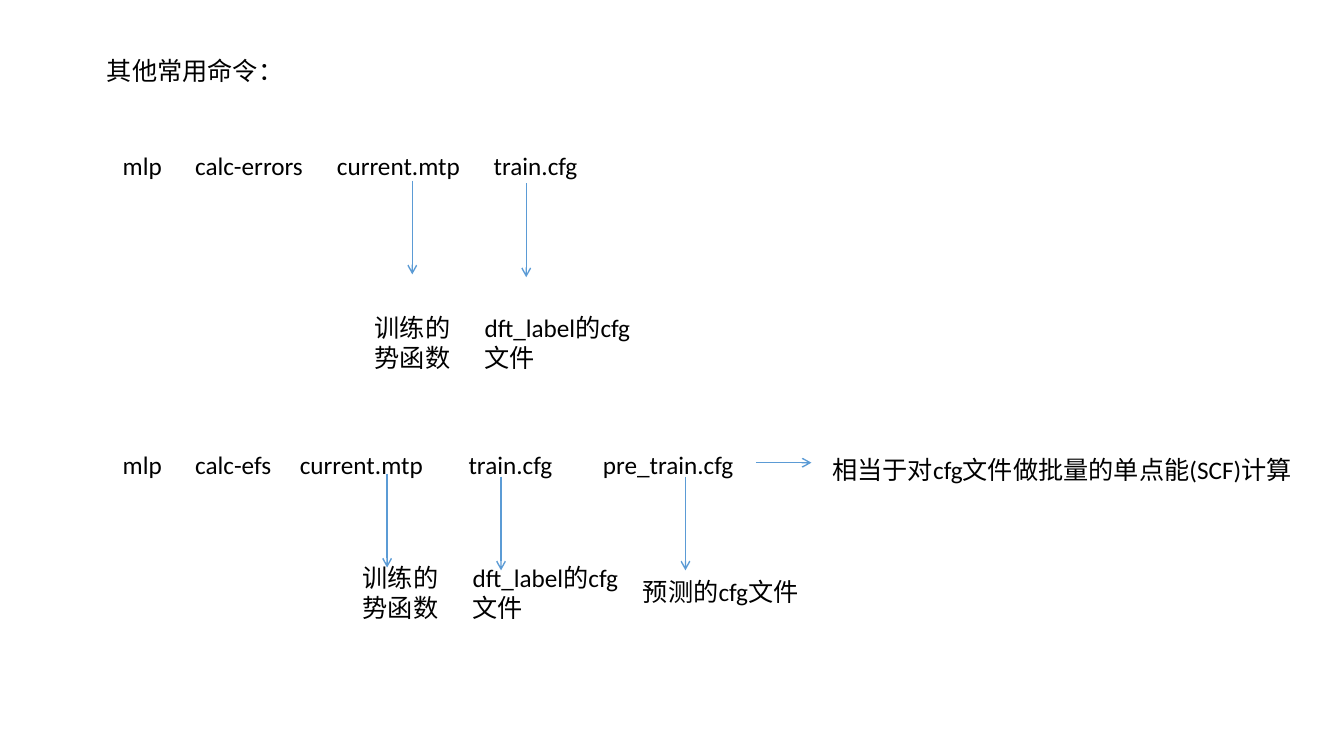
from lxml.etree import SubElement
from pptx import Presentation
from pptx.dml.color import RGBColor
from pptx.enum.shapes import MSO_CONNECTOR
from pptx.enum.text import MSO_ANCHOR, MSO_AUTO_SIZE, PP_ALIGN
from pptx.oxml.ns import qn
from pptx.util import Pt


def colour(value):
    return RGBColor.from_string(value)


class CommandPage:
    font = "Calibri"
    size = 18
    ink = "000000"
    accent = "5B9BD5"

    def __init__(self, deck):
        self.page = deck.slides.add_slide(deck.slide_layouts[5])

    def fill_text(self, box, text):
        frame = box.text_frame
        frame.word_wrap = True
        frame.auto_size = MSO_AUTO_SIZE.NONE
        frame.vertical_anchor = MSO_ANCHOR.TOP
        para = frame.paragraphs[0]
        para.text = text
        para.alignment = PP_ALIGN.LEFT
        para.font.name = self.font
        para.font.size = Pt(self.size)
        para.font.color.rgb = colour(self.ink)
        return para

    def title(self, text, left, top, width, height):
        box = self.page.shapes.title
        box.left, box.top, box.width, box.height = map(Pt, (left, top, width, height))
        self.fill_text(box, text)

    def label(self, text, left, top, width, height):
        box = self.page.shapes.add_textbox(*map(Pt, (left, top, width, height)))
        return self.fill_text(box, text)

    def command(self, words, stops, left, top, width, height):
        para = self.label("\t".join(words), left, top, width, height)
        properties = para._p.get_or_add_pPr()
        tabs = SubElement(properties, qn("a:tabLst"))
        for stop in stops:
            SubElement(tabs, qn("a:tab"), pos=str(Pt(stop)), algn="l")
        properties.insert(0, tabs)

    def arrow(self, left, top, across=0, down=0):
        ends = map(Pt, (left, top, left + across, top + down))
        arrow = self.page.shapes.add_connector(MSO_CONNECTOR.STRAIGHT, *ends)
        arrow.line.color.rgb = colour(self.accent)
        arrow.line.width = Pt(1)
        properties = arrow._element.spPr
        SubElement(properties.find(qn("a:ln")), qn("a:tailEnd"), type="arrow")
        SubElement(properties, qn("a:effectLst"))


def main():
    deck = Presentation()
    deck.slide_width, deck.slide_height = Pt(960), Pt(540)
    page = CommandPage(deck)

    page.title("其他常用命令：", 69.1, 36, 288, 29)

    page.command(["mlp", "calc-errors", "current.mtp", "train.cfg"],
                 [51.7, 153, 265], 80.6, 103.7, 482, 29)
    page.command(["mlp", "calc-efs", "current.mtp", "train.cfg", "pre_train.cfg"],
                 [51.7, 126.5, 247, 343], 80.6, 317.5, 495, 29)

    for left, top, arrow_left, arrow_top in [(260.6, 219.6, 294.5, 129),
                                             (252, 398.2, 276.5, 338.4)]:
        page.label("训练的势函数", left, top, 70, 51)
        page.label("dft_label的cfg文件", left + 78.5, top, 127.4, 49)
        page.arrow(arrow_left, arrow_top, down=67)
        page.arrow(arrow_left + 81.4, arrow_top + 2, down=67)

    page.arrow(489.6, 340.4, down=67)
    page.label("预测的cfg文件", 452.2, 408.2, 127.4, 49)
    page.arrow(540, 330.5, across=39.6)
    page.label("相当于对cfg文件做批量的单点能(SCF)计算", 587.5, 321.1, 363, 29)

    deck.save("out.pptx")


if __name__ == "__main__":
    main()
